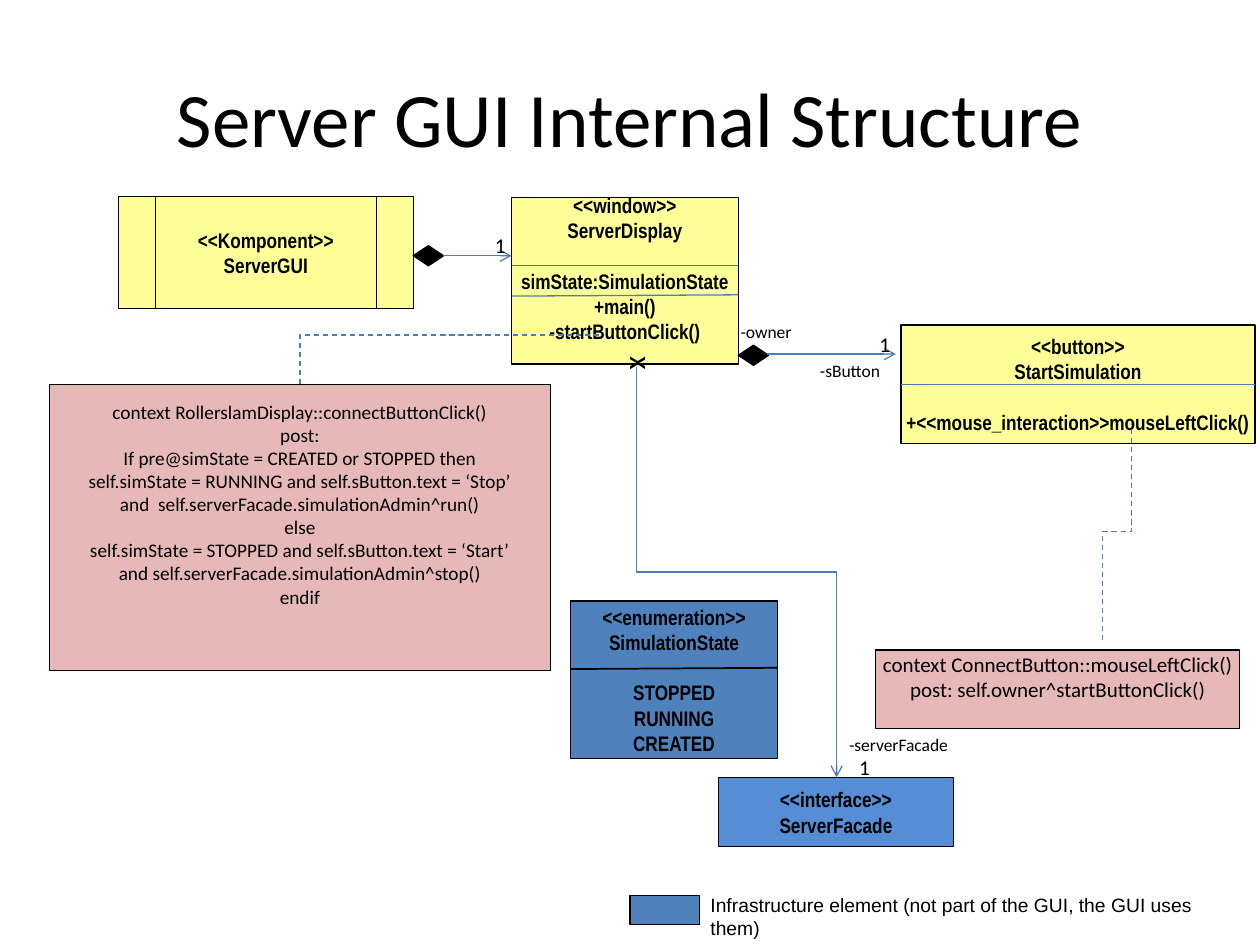
from dataclasses import dataclass

from lxml.etree import SubElement
from pptx import Presentation
from pptx.dml.color import RGBColor
from pptx.enum.dml import MSO_LINE
from pptx.enum.shapes import MSO_CONNECTOR, MSO_SHAPE
from pptx.enum.text import MSO_ANCHOR, MSO_AUTO_SIZE, PP_ALIGN
from pptx.oxml.ns import qn
from pptx.util import Inches, Pt


@dataclass(frozen=True)
class Theme:
    body: str = "Calibri"
    uml: str = "Arial Narrow"
    legend: str = "Arial"
    ink: str = "000000"
    gui: str = "FFFF99"
    note: str = "E6B9B8"
    infra: str = "4F81BD"
    facade: str = "558ED5"
    link: str = "4A7EBB"
    title_pt: int = 44
    mark_pt: int = 18
    text_pt: int = 12
    note_pt: int = 11
    role_pt: int = 10
    leading: float = 1.21
    thin: float = 0.75


T = Theme()
TITLE = "Server GUI Internal Structure"

# place, fill, compartments of lines, empty lines kept free at the bottom
CLASSES = [
    ((0.94, 1.56, 2.34, 0.89), T.gui, [["<<Komponent>>", "ServerGUI"]], 0),
    ((4.06, 1.57, 1.8, 1.32), T.gui,
     [["<<window>>", "ServerDisplay"],
      ["simState:SimulationState", "+main()", "-startButtonClick()"]], 1),
    ((7.15, 2.58, 2.81, 0.94), T.gui,
     [["<<button>>", "StartSimulation"],
      ["+<<mouse_interaction>>mouseLeftClick()"]], 0),
    ((5.7, 6.17, 1.87, 0.55), T.facade, [["<<interface>>", "ServerFacade"]], 0),
    ((4.53, 4.77, 1.64, 1.25), T.infra,
     [["<<enumeration>>", "SimulationState"],
      ["STOPPED", "RUNNING", "CREATED"]], 0),
]
NOTES = [
    ((6.95, 5.16, 2.89, 0.62), T.text_pt,
     ["context ConnectButton::mouseLeftClick()",
      "post: self.owner^startButtonClick()"], 1),
    ((0.39, 3.05, 3.98, 2.27), T.note_pt,
     ["context RollerslamDisplay::connectButtonClick()",
      "post:",
      "If pre@simState = CREATED or STOPPED then",
      "self.simState = RUNNING and self.sButton.text = ‘Stop’",
      "and  self.serverFacade.simulationAdmin^run()",
      "else",
      "self.simState = STOPPED and self.sButton.text = ‘Start’",
      "and self.serverFacade.simulationAdmin^stop()",
      "endif"], 2),
]
LEGEND_SWATCH = (5, 7.11, 0.55, 0.23)
DIAMONDS = [(3.32, 1.91), (5.9, 2.7)]
DIAMOND_SIZE = (0.16, 0.24)

# start, end, colour, width
DIVIDERS = [
    ((4.06, 2.11), (5.86, 2.11), T.link, T.thin),
    ((4.06, 2.35), (5.86, 2.34), T.link, T.thin),
    ((7.15, 3.05), (9.96, 3.05), T.link, T.thin),
    ((4.53, 5.31), (6.17, 5.3), T.ink, 1),
]
ASSOCIATIONS = [((3.52, 2.03), (4.06, 2.03)), ((6.09, 2.81), (7.11, 2.81))]
# start, end, preset, dashed
ELBOWS = [
    ((8.75, 5.08), (8.98, 3.36), "bentConnector3", True),
    ((2.38, 3.05), (4.77, 2.66), "bentConnector2", True),
    ((5.05, 2.91), (6.64, 6.17), "bentConnector3", False),
]
# text, place, size, font, rotation
LABELS = [
    ("1", (3.83, 1.8, 0.31, 0.3), T.text_pt, T.body, 0),
    ("x", (5.06, 2.67, 0.08, 0.4), T.mark_pt, T.body, 90),
    ("1", (6.88, 2.58, 0.31, 0.3), T.text_pt, T.body, 0),
    ("-sButton", (6.41, 2.81, 0.7, 0.27), T.role_pt, T.body, 0),
    ("-owner", (5.78, 2.5, 0.78, 0.27), T.role_pt, T.body, 0),
    ("1", (6.72, 5.94, 0.24, 0.3), T.text_pt, T.body, 0),
    ("-serverFacade", (6.64, 5.78, 1.09, 0.27), T.role_pt, T.body, 0),
    ("Infrastructure element (not part of the GUI, the GUI uses them)",
     (5.54, 7.04, 4.38, 0.47), T.note_pt, T.legend, 0),
]


def inches(values):
    return [Inches(v) for v in values]


def add_run(p, text, size, font, bold=False):
    r = p.add_run()
    r.text = text
    r.font.size, r.font.name, r.font.bold = Pt(size), font, bold
    r.font.color.rgb = RGBColor.from_string(T.ink)


def add_block(s, preset, place, fill):
    sp = s.shapes.add_shape(preset, *inches(place))
    sp.shadow.inherit = False
    sp.fill.solid()
    sp.fill.fore_color.rgb = RGBColor.from_string(fill)
    sp.line.color.rgb = RGBColor.from_string(T.ink)
    sp.line.width = Pt(T.thin)
    return sp


def write_compartments(sp, compartments, size, font, bold, spare):
    """Centre the lines, one line apart between compartments, spare lines below."""
    line = size * T.leading
    tf = sp.text_frame
    tf.word_wrap = False
    tf.vertical_anchor = MSO_ANCHOR.MIDDLE
    tf.margin_bottom = Inches(0.05) + Pt(line * spare)
    p = tf.paragraphs[0]
    for c, lines in enumerate(compartments):
        for i, text in enumerate(lines):
            if c or i:
                p = tf.add_paragraph()
            p.alignment = PP_ALIGN.CENTER
            if c and not i:
                p.space_before = Pt(line)
            add_run(p, text, size, font, bold)


def add_line(s, kind, start, end, color=T.link, width=T.thin, arrow=False):
    cx = s.shapes.add_connector(kind, *inches(start + end))
    cx.line.color.rgb = RGBColor.from_string(color)
    cx.line.width = Pt(width)
    if arrow:
        SubElement(cx.line._get_or_add_ln(), qn("a:tailEnd"), type="arrow")
    SubElement(cx._element.spPr, qn("a:effectLst"))
    return cx


def add_elbow(s, start, end, preset, dashed):
    """Elbow that leaves its start vertically: a quarter-turned connector."""
    (x1, y1), (x2, y2) = start, end
    mx, my = (x1 + x2) / 2, (y1 + y2) / 2
    dx, dy = (x2 - x1) / 2, (y2 - y1) / 2
    cx = add_line(s, MSO_CONNECTOR.ELBOW, (mx - dy, my + dx), (mx + dy, my - dx),
                  arrow=not dashed)
    if dashed:
        cx.line.dash_style = MSO_LINE.DASH
    spPr = cx._element.spPr
    spPr.find(qn("a:xfrm")).set("rot", str(90 * 60000))
    spPr.find(qn("a:prstGeom")).set("prst", preset)


def add_label(s, text, place, size, font, rotation):
    tb = s.shapes.add_textbox(*inches(place))
    tb.rotation = rotation
    tf = tb.text_frame
    tf.word_wrap = True
    tf.auto_size = MSO_AUTO_SIZE.SHAPE_TO_FIT_TEXT
    add_run(tf.paragraphs[0], text, size, font)


def main():
    prs = Presentation()
    prs.slide_width, prs.slide_height = Inches(10), Inches(7.5)
    s = prs.slides.add_slide(prs.slide_layouts[5])

    title = s.shapes.title
    title.left, title.top, title.width, title.height = inches((0.5, 0.3, 9, 1.25))
    title.text_frame.vertical_anchor = MSO_ANCHOR.MIDDLE
    p = title.text_frame.paragraphs[0]
    p.alignment = PP_ALIGN.CENTER
    add_run(p, TITLE, T.title_pt, T.body)

    for i, (place, fill, compartments, spare) in enumerate(CLASSES):
        preset = MSO_SHAPE.RECTANGLE if i else MSO_SHAPE.FLOWCHART_PREDEFINED_PROCESS
        sp = add_block(s, preset, place, fill)
        write_compartments(sp, compartments, T.text_pt, T.uml, True, spare)
    for place, size, lines, spare in NOTES:
        sp = add_block(s, MSO_SHAPE.RECTANGLE, place, T.note)
        write_compartments(sp, [lines], size, T.body, False, spare)
    add_block(s, MSO_SHAPE.RECTANGLE, LEGEND_SWATCH, T.infra)
    for corner in DIAMONDS:
        add_block(s, MSO_SHAPE.DIAMOND, corner + DIAMOND_SIZE, T.ink).rotation = 90

    for divider in DIVIDERS:
        add_line(s, MSO_CONNECTOR.STRAIGHT, *divider)
    for start, end in ASSOCIATIONS:
        add_line(s, MSO_CONNECTOR.STRAIGHT, start, end, arrow=True)
    for elbow in ELBOWS:
        add_elbow(s, *elbow)
    for label in LABELS:
        add_label(s, *label)

    prs.save("out.pptx")


if __name__ == "__main__":
    main()
